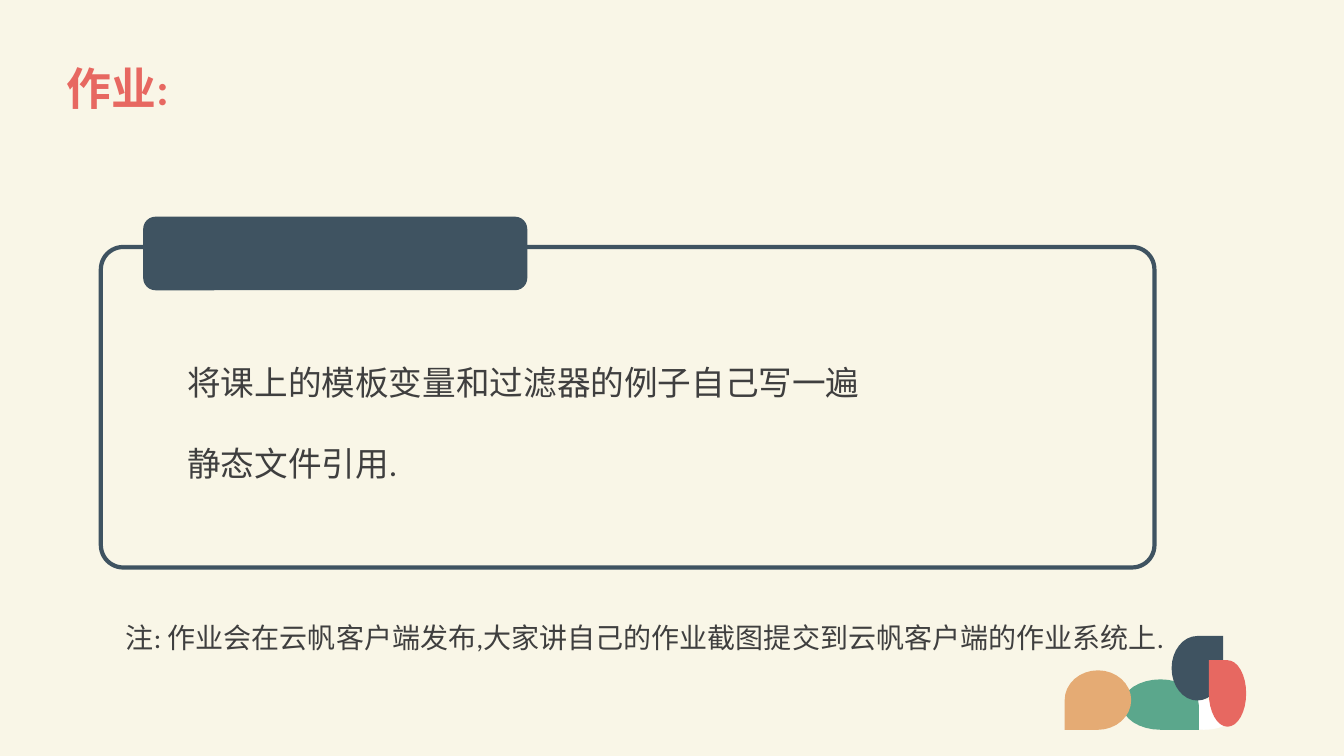
import math

from pptx import Presentation
from pptx.dml.color import RGBColor
from pptx.enum import shapes, text
from pptx.util import Inches, Pt

CREAM, NAVY, CORAL, GREEN, SAND = "F9F6E7", "3F5361", "E76861", "5BA78C", "E5AB74"
WHITE, GREY = "FFFFFF", "3F3F3F"


def color(value):
    return RGBColor.from_string(value)


def set_values(target, values):
    for name, value in values.items():
        setattr(target, name, value)


class HomeworkSlide:
    font = "Calibri"

    def __init__(self, presentation):
        self.slide = presentation.slides.add_slide(presentation.slide_layouts[5])
        fill = self.slide.background.fill
        fill.solid()
        fill.fore_color.rgb = color(CREAM)

    def paint(self, shape, fill=None, line=None, width=3):
        shape.shadow.inherit = False
        if fill:
            shape.fill.solid()
            shape.fill.fore_color.rgb = color(fill)
        else:
            shape.fill.background()
        if line:
            shape.line.color.rgb = color(line)
            shape.line.width = Pt(width)
        else:
            shape.line.fill.background()

    def fill_text(self, frame, lines, size, hue, bold=False, **spacing):
        set_values(frame, {"word_wrap": True, "auto_size": text.MSO_AUTO_SIZE.NONE})
        for index, line in enumerate(lines):
            paragraph = frame.add_paragraph() if index else frame.paragraphs[0]
            paragraph.alignment = text.PP_ALIGN.LEFT
            set_values(paragraph, spacing)
            run = paragraph.add_run()
            run.text = line
            set_values(run.font, {"name": self.font, "size": Pt(size), "bold": bold})
            run.font.color.rgb = color(hue)

    def title(self, box, line):
        shape = self.slide.shapes.title
        set_values(shape, dict(zip(("left", "top", "width", "height"), map(Inches, box))))
        shape.text_frame.vertical_anchor = text.MSO_ANCHOR.MIDDLE
        self.fill_text(shape.text_frame, [line], 32, CORAL, bold=True, line_spacing=0.9)

    def text_box(self, box, lines, size, **spacing):
        shape = self.slide.shapes.add_textbox(*map(Inches, box))
        self.fill_text(shape.text_frame, lines, size, GREY, **spacing)

    def preset(self, kind, box, radius=None, **style):
        shape = self.slide.shapes.add_shape(kind, *map(Inches, box))
        if radius is not None:
            shape.adjustments[0] = radius
        self.paint(shape, **style)

    def petal(self, box, corner, fill, steps=24):
        """Draw an ellipse with one square corner, given as (x, y) signs."""
        left, top, width, height = box
        start = math.atan2(corner[1], corner[0]) + math.pi / 4
        angles = [start + 1.5 * math.pi * step / steps for step in range(steps + 1)]
        units = [corner] + [(math.cos(angle), math.sin(angle)) for angle in angles]
        points = [(Inches(left + width * (1 + x) / 2), Inches(top + height * (1 + y) / 2))
                  for x, y in units]
        builder = self.slide.shapes.build_freeform(*points[0])
        builder.add_line_segments(points[1:], close=True)
        self.paint(builder.convert_to_shape(), fill=fill)


def main():
    presentation = Presentation()
    set_values(presentation, {"slide_width": Inches(13.33), "slide_height": Inches(7.5)})
    page = HomeworkSlide(presentation)
    kinds = shapes.MSO_SHAPE

    page.title((0.56, 0.37, 12.29, 1.06), "作业:")

    page.preset(kinds.OVAL, (11.64, 6.94, 0.6, 0.3), fill=WHITE)
    page.petal((11.13, 6.74, 0.76, 0.5), (1, 1), GREEN)
    page.petal((11.62, 6.31, 0.51, 0.64), (1, -1), NAVY)
    page.petal((11.99, 6.55, 0.37, 0.66), (-1, -1), CORAL)
    page.petal((10.56, 6.65, 0.66, 0.59), (-1, 1), SAND)

    page.preset(kinds.ROUNDED_RECTANGLE, (1, 2.45, 10.45, 3.18), radius=0.07, line=NAVY)
    page.preset(kinds.ROUNDED_RECTANGLE, (1.42, 2.15, 3.81, 0.73), fill=NAVY)

    page.text_box((1.15, 6.11, 10.47, 0.44),
                  ["注: 作业会在云帆客户端发布,大家讲自己的作业截图提交到云帆客户端的作业系统上."], 20)
    page.text_box((1.76, 3.54, 6.93, 1.31),
                  ["将课上的模板变量和过滤器的例子自己写一遍", "静态文件引用."],
                  24, space_after=Pt(29))

    presentation.save("out.pptx")


if __name__ == "__main__":
    main()
